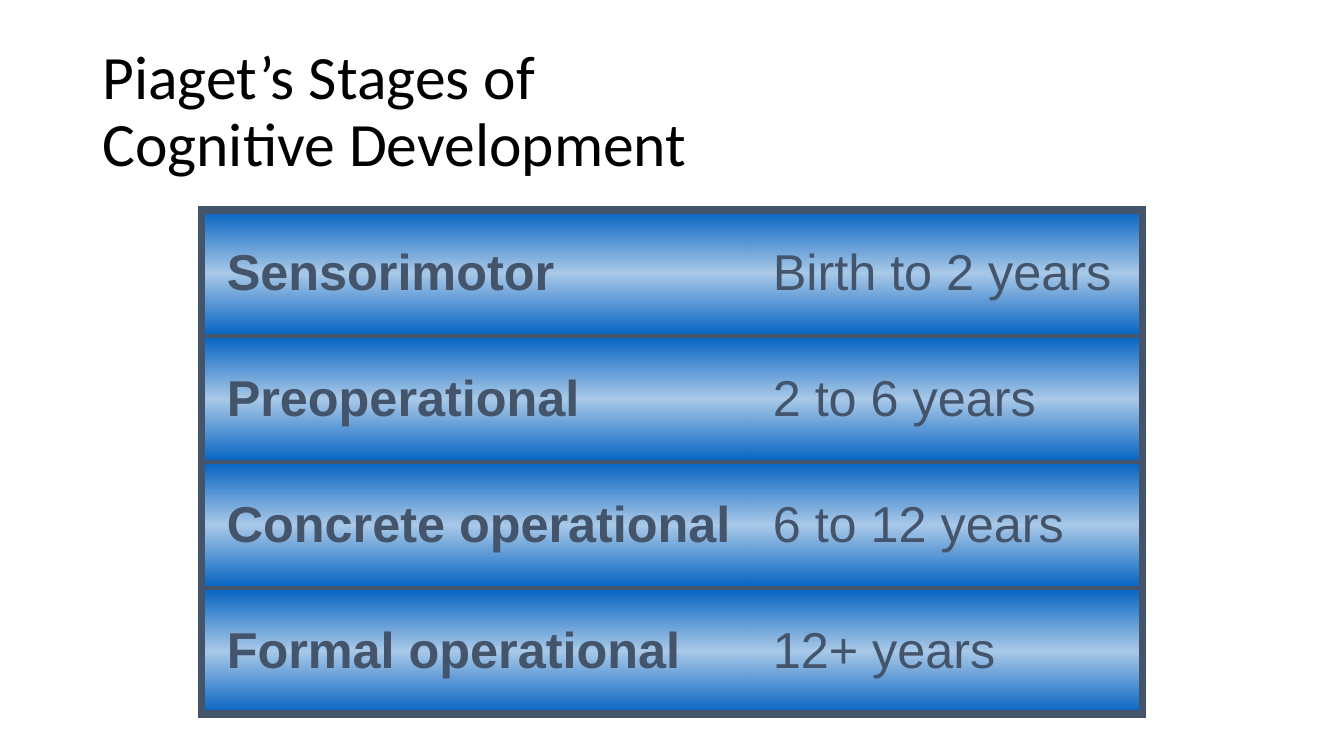
"""Build a slide with a table of Piaget's stages of cognitive development."""
import lxml.etree
import pptx
import pptx.dml.color
import pptx.enum.text
import pptx.oxml.ns
import pptx.util

PX = 9525
BLACK = pptx.dml.color.RGBColor(0x00, 0x00, 0x00)
SLATE = pptx.dml.color.RGBColor(0x44, 0x54, 0x6A)
BLUE = pptx.dml.color.RGBColor(0x05, 0x63, 0xC1)
PALE_BLUE = pptx.dml.color.RGBColor(0xA8, 0xC8, 0xE8)

PLAIN_TABLE_STYLE = "{2D5ABB26-0587-4C30-8999-92F81FD0307C}"
OUTER_BORDER, INNER_BORDER = 6, 3
COLUMN_WIDTHS = (520, 376)
ROW_HEIGHT = 120
MIDDLE = pptx.enum.text.MSO_ANCHOR.MIDDLE
STAGES = (
    ("Sensorimotor", "Birth to 2 years"),
    ("Preoperational", "2 to 6 years"),
    ("Concrete operational", "6 to 12 years"),
    ("Formal operational", "12+ years"),
)


def px(length):
    """Turn px into EMU."""
    return pptx.util.Emu(length * PX)


def apply_format(target, values):
    """Set each attribute of target named in values."""
    for name, value in values.items():
        setattr(target, name, value)


def add_element(parent, tag, **attributes):
    """Append a DrawingML element to parent."""
    return lxml.etree.SubElement(parent, pptx.oxml.ns.qn(tag), attributes)


def format_font(paragraph, name, size, color, bold=False):
    """Set the font of a paragraph."""
    apply_format(paragraph.font, {"name": name, "size": pptx.util.Pt(size), "bold": bold})
    paragraph.font.color.rgb = color


def add_title(slide, text, left, top, width, height):
    """Add the slide title as a text box."""
    shape = slide.shapes.add_textbox(px(left), px(top), px(width), px(height))
    apply_format(shape.text_frame, {"word_wrap": True, "vertical_anchor": MIDDLE})
    paragraph = shape.text_frame.paragraphs[0]
    paragraph.text = text
    paragraph.line_spacing = 0.9
    format_font(paragraph, "Calibri", 44, BLACK)


def add_border(properties, side, points):
    """Add one cell border, or an empty one when points is zero."""
    line = add_element(properties, f"a:ln{side}", w=str(pptx.util.Pt(points)))
    if points:
        fill = add_element(line, "a:solidFill")
        add_element(fill, "a:srgbClr", val=str(SLATE))
    else:
        add_element(line, "a:noFill")


def add_gradient(properties):
    """Fill a cell with a vertical gradient that is pale in the middle."""
    gradient = add_element(properties, "a:gradFill", rotWithShape="1")
    stops = add_element(gradient, "a:gsLst")
    for percent, color in ((0, BLUE), (50, PALE_BLUE), (100, BLUE)):
        stop = add_element(stops, "a:gs", pos=str(percent * 1000))
        add_element(stop, "a:srgbClr", val=str(color))
    add_element(gradient, "a:lin", ang="5400000", scaled="1")


def format_cell(cell, text, borders, bold):
    """Write and style one table cell."""
    apply_format(cell, {
        "text": text,
        "vertical_anchor": MIDDLE,
        "margin_left": px(24),
    })
    format_font(cell.text_frame.paragraphs[0], "Arial", 36, SLATE, bold)
    properties = cell._tc.get_or_add_tcPr()
    for side, points in borders.items():
        add_border(properties, side, points)
    add_gradient(properties)


def add_stage_table(slide, left, top):
    """Add the table of stages and ages."""
    last_row, last_column = len(STAGES) - 1, len(COLUMN_WIDTHS) - 1
    table = slide.shapes.add_table(
        len(STAGES), len(COLUMN_WIDTHS), px(left), px(top),
        px(sum(COLUMN_WIDTHS)), px(ROW_HEIGHT * len(STAGES))).table
    apply_format(table, {"first_row": False, "horz_banding": False})
    table._tbl.tblPr.find(pptx.oxml.ns.qn("a:tableStyleId")).text = PLAIN_TABLE_STYLE
    for column, width in zip(table.columns, COLUMN_WIDTHS):
        column.width = px(width)
    for row, texts in enumerate(STAGES):
        table.rows[row].height = px(ROW_HEIGHT)
        for column, text in enumerate(texts):
            borders = {
                "L": OUTER_BORDER if column == 0 else 0,
                "R": OUTER_BORDER if column == last_column else 0,
                "T": OUTER_BORDER if row == 0 else INNER_BORDER,
                "B": OUTER_BORDER if row == last_row else INNER_BORDER,
            }
            format_cell(table.cell(row, column), text, borders, bold=column == 0)


def main():
    """Build and save the presentation."""
    presentation = pptx.Presentation()
    apply_format(presentation, {"slide_width": px(1280), "slide_height": px(720)})
    slide = presentation.slides.add_slide(presentation.slide_layouts[6])
    add_title(slide, "Piaget’s Stages of\vCognitive Development", 88, 38, 1104, 139)
    add_stage_table(slide, 192, 200)
    presentation.save("out.pptx")


if __name__ == "__main__":
    main()
